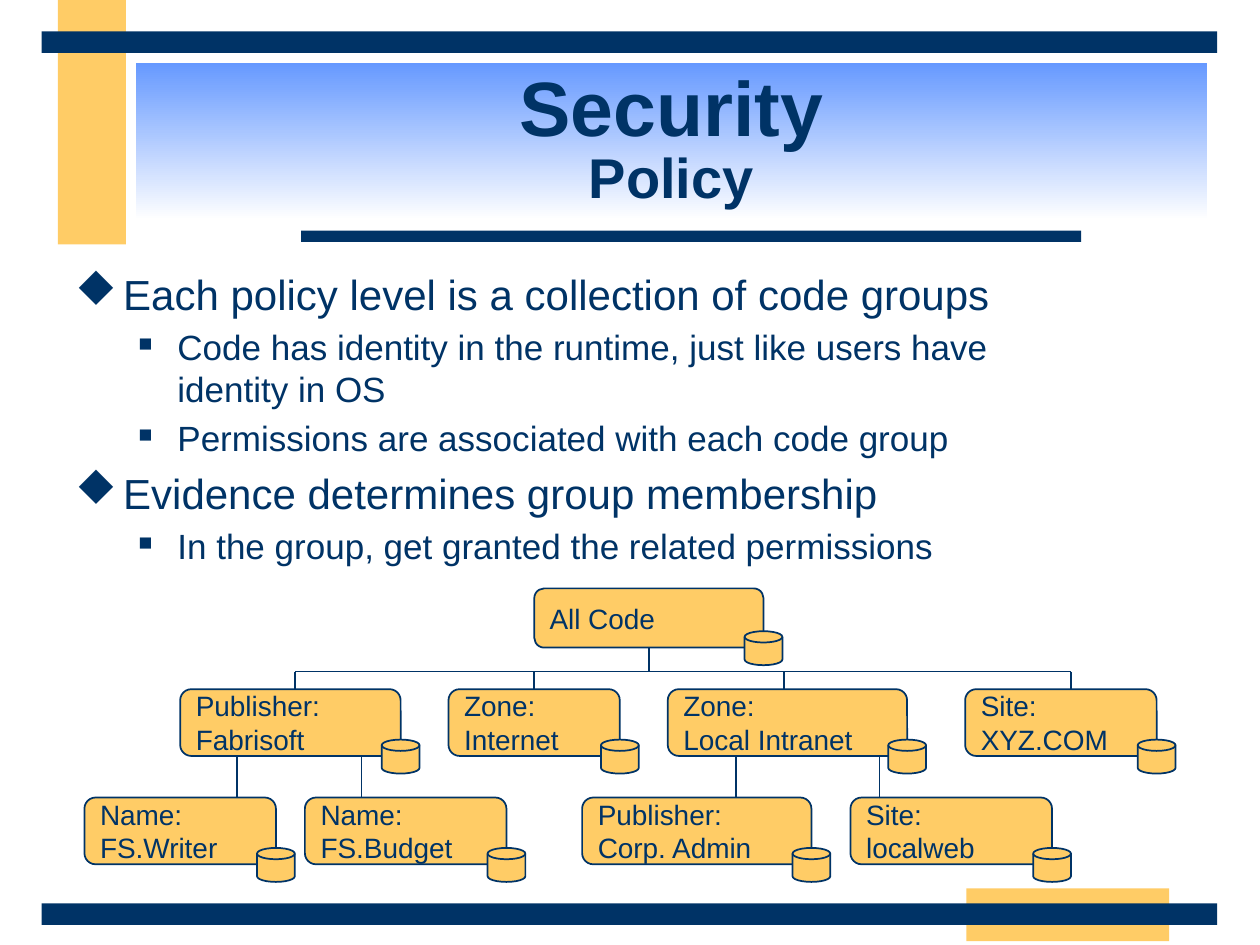
from lxml import etree
from pptx import Presentation
from pptx.dml.color import RGBColor
from pptx.enum.shapes import MSO_CONNECTOR, MSO_SHAPE
from pptx.enum.text import MSO_ANCHOR, PP_ALIGN
from pptx.oxml.ns import qn
from pptx.util import Inches, Pt

RECTANGLE = MSO_SHAPE.RECTANGLE
ROUNDED = MSO_SHAPE.ROUNDED_RECTANGLE
DISK = MSO_SHAPE.FLOWCHART_MAGNETIC_DISK
STRAIGHT = MSO_CONNECTOR.STRAIGHT
MIDDLE = MSO_ANCHOR.MIDDLE
LEFT, CENTER = PP_ALIGN.LEFT, PP_ALIGN.CENTER
TOP_SIDE, BOTTOM_SIDE = 0, 2

FONT, BULLET_FONT = "Arial", "Wingdings"
NAVY, GOLD, BLUE, WHITE = "003366", "FFCC66", "6699FF", "FFFFFF"

POINTS = [
    (0, "Each policy level is a collection of code groups"),
    (1, "Code has identity in the runtime, just like users have\videntity in OS"),
    (1, "Permissions are associated with each code group"),
    (0, "Evidence determines group membership"),
    (1, "In the group, get granted the related permissions"),
]
LEVELS = [
    {"size": 24, "margin": 0.38, "hang": 0.38, "bullet": "u", "percent": 100},
    {"size": 20, "margin": 0.81, "hang": 0.31, "bullet": "n", "percent": 55},
]

ROOT = (3.57, 1.82, "All Code")
GROUPS = [
    (0.76, 1.75, "Publisher:\nFabrisoft", 1.67),
    (2.89, 1.36, "Zone:\nInternet", 3.57),
    (4.63, 1.9, "Zone:\nLocal Intranet", 5.55),
    (6.99, 1.52, "Site:\nXYZ.COM", 7.83),
]
SUBGROUPS = [
    (0, 1.52, "Name:\nFS.Writer", 1.21),
    (1.75, 1.6, "Name:\nFS.Budget", 2.2),
    (3.95, 1.82, "Publisher:\nCorp. Admin", 5.17),
    (6.08, 1.6, "Site:\nlocalweb", 6.31),
]


def color(hex_value):
    """Turn a hex string into a colour."""
    return RGBColor.from_string(hex_value)


def style_runs(paragraph, size, bold=False):
    """Format every run of a paragraph."""
    for run in paragraph.runs:
        run.font.name = FONT
        run.font.size = Pt(size)
        run.font.bold = bold
        run.font.color.rgb = color(NAVY)


def add_block(slide, kind, left, top, width, height, fill=GOLD, outline=None):
    """Add a filled shape with an optional outline."""
    block = slide.shapes.add_shape(
        kind, Inches(left), Inches(top), Inches(width), Inches(height))
    block.shadow.inherit = False
    block.fill.solid()
    block.fill.fore_color.rgb = color(fill)
    if outline:
        block.line.color.rgb = color(outline)
        block.line.width = Pt(1)
    else:
        block.line.fill.background()
    return block


def add_branch(slide, x1, y1, x2, y2):
    """Add a thin line of the tree."""
    branch = slide.shapes.add_connector(
        STRAIGHT, Inches(x1), Inches(y1), Inches(x2), Inches(y2))
    branch.line.color.rgb = color(NAVY)
    branch.line.width = Pt(1)
    etree.SubElement(branch._element.spPr, qn("a:effectLst"))
    return branch


def add_frame(slide, left, top, width, height):
    """Draw the gold tabs and navy bars around the slide."""
    add_block(slide, RECTANGLE, left + 0.13, top, 0.54, 1.94)
    add_block(slide, RECTANGLE, left + 7.34, top + 7.05, 1.61, 0.42)
    add_block(slide, RECTANGLE, left + 2.06, top + 1.83, 6.19, 0.09, NAVY)
    for bar_top in (top + 0.25, top + height - 0.33):
        add_block(slide, RECTANGLE, left, bar_top, width, 0.17, NAVY)


def add_title(slide, left, top, width, height):
    """Place the two-line title on its gradient band."""
    band = add_block(slide, RECTANGLE, left, top, width, height)
    band.fill.gradient()
    band.fill.gradient_angle = 270
    for stop, shade in zip(band.fill.gradient_stops, (BLUE, WHITE)):
        stop.color.rgb = color(shade)
    frame = band.text_frame
    frame.word_wrap = True
    frame.vertical_anchor = MIDDLE
    heading = frame.paragraphs[0]
    heading.text = "Security\vPolicy"
    heading.alignment = CENTER
    heading.line_spacing = 0.85
    style_runs(heading, 44, bold=True)
    heading.runs[1].font.size = Pt(32)


def add_bullet(paragraph, level):
    """Give a paragraph its hanging indent and bullet."""
    properties = paragraph._p.get_or_add_pPr()
    properties.set("marL", str(Inches(level["margin"])))
    properties.set("indent", str(-Inches(level["hang"])))
    tint = etree.SubElement(properties, qn("a:buClr"))
    etree.SubElement(tint, qn("a:srgbClr"), val=NAVY)
    etree.SubElement(properties, qn("a:buSzPct"), val=str(level["percent"] * 1000))
    etree.SubElement(properties, qn("a:buFont"), typeface=BULLET_FONT,
                     pitchFamily="2", charset="2")
    etree.SubElement(properties, qn("a:buChar"), char=level["bullet"])


def add_points(slide, left, top, width, height):
    """Write the two-level bullet list."""
    body = slide.shapes.add_textbox(
        Inches(left), Inches(top), Inches(width), Inches(height))
    frame = body.text_frame
    frame.word_wrap = True
    for index, (depth, words) in enumerate(POINTS):
        level = LEVELS[depth]
        point = frame.add_paragraph() if index else frame.paragraphs[0]
        point.text = words
        point.level = depth
        add_bullet(point, level)
        point.space_before = Pt(level["size"] * 0.2 if index else 0)
        style_runs(point, level["size"])


def add_code_group(slide, left, top, width, height, label):
    """Draw a labelled code group with its permission disk."""
    group = add_block(slide, ROUNDED, left, top, width, height, outline=NAVY)
    frame = group.text_frame
    frame.text = label
    frame.word_wrap = True
    frame.vertical_anchor = MIDDLE
    for line in frame.paragraphs:
        line.alignment = LEFT
        style_runs(line, 16)
    add_block(slide, DISK, left + width - 0.15, top + height - 0.13,
              0.3, 0.27, outline=NAVY)
    return group


def add_tree(slide, left, top):
    """Draw the code group tree from its root down."""
    rail, group_top, subgroup_top, height = top + 0.66, top + 0.8, top + 1.66, 0.53
    root_left, root_width, root_label = ROOT
    root = add_code_group(slide, left + root_left, top, root_width, 0.47, root_label)
    trunk = left + root_left + root_width / 2
    stem = add_branch(slide, trunk, top + 0.47, trunk, rail)
    stem.begin_connect(root, BOTTOM_SIDE)
    add_branch(slide, left + GROUPS[0][3], rail, left + GROUPS[-1][3], rail)

    rows = ((GROUPS, group_top, rail),
            (SUBGROUPS, subgroup_top, group_top + height))
    for row, row_top, branch_top in rows:
        for offset, width, label, drop in row:
            group = add_code_group(slide, left + offset, row_top, width, height, label)
            branch = add_branch(slide, left + drop, branch_top, left + drop, row_top)
            if abs(offset + width / 2 - drop) < 0.01:
                branch.end_connect(group, TOP_SIDE)


def main():
    """Build and save the slide."""
    deck = Presentation()
    deck.slide_width, deck.slide_height = Inches(10), Inches(7.5)
    slide = deck.slides.add_slide(deck.slide_layouts[6])
    add_frame(slide, 0.33, 0, 9.33, 7.5)
    add_title(slide, 1.08, 0.5, 8.5, 1.25)
    add_points(slide, 0.5, 2.08, 9, 4.92)
    add_tree(slide, 0.67, 4.67)
    deck.save("out.pptx")


if __name__ == "__main__":
    main()
